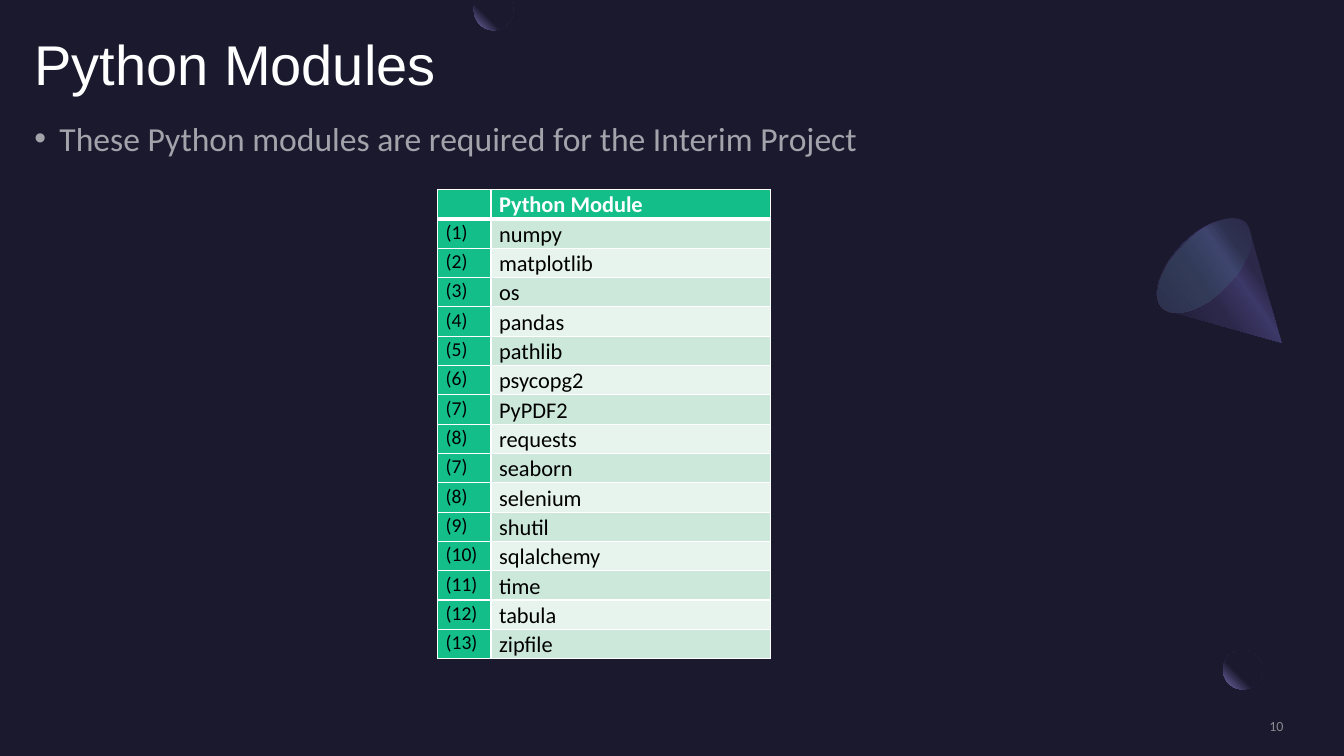
from lxml.etree import SubElement
from pptx import Presentation
from pptx.dml.color import RGBColor
from pptx.enum.shapes import MSO_SHAPE
from pptx.enum.text import MSO_ANCHOR, PP_ALIGN
from pptx.oxml.ns import qn
from pptx.util import Inches, Pt

HUES = {
    "night": "1B192E", "violet": "7771B2", "dusk": "2C284A", "plum": "3C3867",
    "haze": "454075", "mint": "5BEFC1", "white": "FFFFFF", "grey": "A6A6A6",
    "black": "000000", "green": "13BE89", "pale": "CCE8DA", "paler": "E7F4ED",
}
MODULES = ["numpy", "matplotlib", "os", "pandas", "pathlib", "psycopg2", "PyPDF2",
           "requests", "seaborn", "selenium", "shutil", "sqlalchemy", "time",
           "tabula", "zipfile"]
NUMBERS = [*range(1, 9), *range(7, 14)]
CONE = [(12.71, 3.4), [(11.58, 3.08)], [(11.57, 3.08)],
        [(11.56, 3.07), (11.54, 3.06), (11.52, 3.05)],
        [(11.41, 2.93), (11.5, 2.65), (11.73, 2.42)],
        [(11.96, 2.19), (12.24, 2.1), (12.36, 2.21)],
        [(12.37, 2.23), (12.38, 2.24), (12.39, 2.26)], [(12.39, 2.27)]]
DROP = [(4.73, 0), [(5.06, 0)], [(5.08, 0.03)],
        [(5.09, 0.05), (5.09, 0.08), (5.09, 0.1)],
        [(5.09, 0.21), (5, 0.3), (4.89, 0.3)],
        [(4.79, 0.3), (4.7, 0.21), (4.7, 0.1)],
        [(4.7, 0.08), (4.7, 0.05), (4.71, 0.03)]]
GLOW = [(60, "night", 100), (100, "violet", 100)]


def paint(fill, hue, alpha=100):
    fill.solid()
    fill.fore_color.rgb = RGBColor.from_string(HUES[hue])
    if alpha < 100:
        tint = fill._xPr.find(".//" + qn("a:srgbClr"))
        SubElement(tint, qn("a:alpha"), val=str(alpha * 1000))


def plain(shape):
    shape.shadow.inherit = False
    shape.line.fill.background()
    return shape


def blend(shape, stops, angle=None):
    shape.fill.gradient()
    grad = shape.fill._xPr.find(qn("a:gradFill"))
    for child in list(grad):
        grad.remove(child)
    grad.set("rotWithShape", "1")
    gslist = SubElement(grad, qn("a:gsLst"))
    for pos, hue, alpha in stops:
        stop = SubElement(gslist, qn("a:gs"), pos=str(pos * 1000))
        tint = SubElement(stop, qn("a:srgbClr"), val=HUES[hue])
        if alpha < 100:
            SubElement(tint, qn("a:alpha"), val=str(alpha * 1000))
    if angle is None:
        way = SubElement(grad, qn("a:path"), path="circle")
        SubElement(way, qn("a:fillToRect"), l="100000", b="100000")
    else:
        SubElement(grad, qn("a:lin"), ang=str(angle * 60000), scaled="0")


def preset(slide, kind, box):
    return plain(slide.shapes.add_shape(kind, *map(Inches, box)))


def bezier(a, b, c, d, steps=10):
    for step in range(1, steps + 1):
        t = step / steps
        u = 1 - t
        yield tuple(u**3 * p + 3 * u * u * t * q + 3 * u * t * t * r + t**3 * s
                    for p, q, r, s in zip(a, b, c, d))


def outline(slide, start, *parts):
    points = [start]
    for part in parts:
        points += part if len(part) == 1 else bezier(points[-1], *part)
    spots = [(Inches(x), Inches(y)) for x, y in points]
    pen = slide.shapes.build_freeform(*spots[0])
    pen.add_line_segments(spots[1:], close=True)
    return plain(pen.convert_to_shape())


def style(para, size, hue, face="Calibri", alpha=100, bold=False, space=1.0):
    para.line_spacing = space
    para.font.size = Pt(size)
    para.font.name = face
    para.font.bold = bold
    paint(para.font.fill, hue, alpha)


def label(slide, text, box):
    frame = slide.shapes.add_textbox(*map(Inches, box)).text_frame
    frame.word_wrap = True
    frame.margin_left = frame.margin_right = 0
    frame.margin_top = frame.margin_bottom = 0
    frame.text = text
    return frame


def bullet(para):
    props = para._p.get_or_add_pPr()
    props.set("marL", str(Inches(0.25)))
    props.set("indent", str(-Inches(0.25)))
    SubElement(props, qn("a:buFont"), typeface="Arial")
    SubElement(props, qn("a:buChar"), char="•")


def border(cell, widths):
    props = cell._tc.get_or_add_tcPr()
    for side, width in zip("LRTB", widths):
        line = SubElement(props, qn("a:ln" + side), w=str(Pt(width)))
        fill = SubElement(line, qn("a:solidFill"))
        SubElement(fill, qn("a:srgbClr"), val=HUES["white"])


def entry(cell, text, size, ink, back, widths, bold=False):
    cell.margin_left = cell.margin_right = Inches(0.08)
    cell.margin_top = cell.margin_bottom = 0
    cell.text = text
    para = cell.text_frame.paragraphs[0]
    style(para, size, ink, bold=bold, space=1.07)
    if not text:
        SubElement(para._p, qn("a:endParaRPr"), sz=str(size * 100))
    border(cell, widths)
    paint(cell.fill, back)


def listing(slide):
    count = len(MODULES) + 1
    high = 4.66
    box = map(Inches, (4.34, 1.88, 3.3, high))
    table = slide.shapes.add_table(count, 2, *box).table
    for col, width in zip(table.columns, (0.53, 2.77)):
        col.width = Inches(width)
    for row in table.rows:
        row.height = Inches(high / count)
    for col, text in enumerate(("", "Python Module")):
        entry(table.cell(0, col), text, 16, "white", "green", (1, 1, 1, 3), True)
    for row, (number, name) in enumerate(zip(NUMBERS, MODULES), 1):
        widths = (1, 1, 3 if row == 1 else 1, 1)
        band = "pale" if row % 2 else "paler"
        entry(table.cell(row, 0), f"({number})", 14, "black", "green", widths)
        entry(table.cell(row, 1), name, 16, "black", band, widths)


def decor(slide):
    blend(preset(slide, MSO_SHAPE.OVAL, (12.13, 6.45, 0.39, 0.39)), GLOW)
    veil = preset(slide, MSO_SHAPE.RECTANGLE, (12.52, 6.37, 0.41, 0.39))
    paint(veil.fill, "night", 80)
    blend(outline(slide, *CONE),
          [(30, "dusk", 100), (40, "plum", 100),
           (60, "dusk", 100), (100, "night", 100)], 145)
    rim = preset(slide, MSO_SHAPE.OVAL, (11.65, 2.04, 0.59, 1.18))
    rim.rotation = 225
    blend(rim, [(0, "haze", 33), (100, "mint", 0)], 90)


def main():
    deck = Presentation()
    deck.slide_width, deck.slide_height = Inches(13.33), Inches(7.5)
    slide = deck.slides.add_slide(deck.slide_layouts[6])
    paint(slide.background.fill, "night")
    decor(slide)

    title = label(slide, "Python Modules", (0.34, 0.37, 12.79, 1.46))
    style(title.paragraphs[0], 40, "white", "Arial", space=0.9)

    body = label(slide, "These Python modules are required for the Interim Project",
                 (0.34, 1.13, 12.6, 2.13))
    para = body.paragraphs[0]
    para.line_spacing = 1.1
    para.space_after = Pt(8)
    bullet(para)
    style(para, 24, "white", alpha=60, space=1.1)

    page = label(slide, "10", (10.88, 7.12, 1.85, 0.17))
    page.vertical_anchor = MSO_ANCHOR.MIDDLE
    page.paragraphs[0].alignment = PP_ALIGN.RIGHT
    style(page.paragraphs[0], 10, "grey", alpha=80)

    blend(outline(slide, *DROP), GLOW)
    listing(slide)
    deck.save("out.pptx")


if __name__ == "__main__":
    main()
